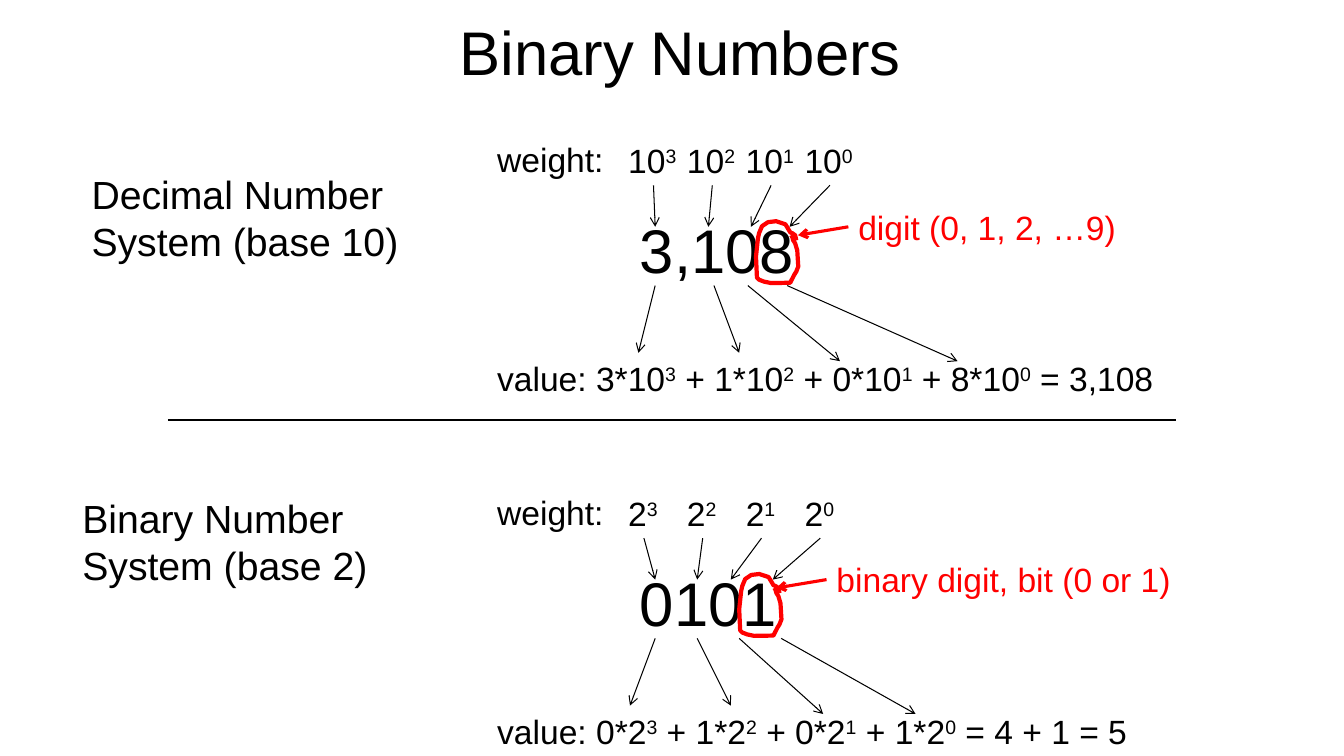
from lxml.etree import SubElement
from pptx import Presentation
from pptx.dml.color import RGBColor
from pptx.enum.shapes import MSO_CONNECTOR
from pptx.enum.text import MSO_ANCHOR, PP_ALIGN
from pptx.oxml.ns import qn
from pptx.util import Pt

COLORS = {"ink": "000000", "mark": "FF0000"}
DROP = 252  # distance between the two number systems
LOOP = [(28.8, 13.7), (28, 10), (26, 8.6), (24.5, 8), (22.3, 4.3), (21, 2.2),
        (14.4, 0), (8.6, 0.7), (4.3, 3.6), (2.2, 8.6), (1.4, 12.2), (0, 25.2),
        (0.7, 40.3), (2.2, 41.8), (5.8, 43.2), (10.8, 44.2), (24.5, 44),
        (25.2, 42.5), (27.4, 38.2), (28.8, 36), (30.2, 32.4), (29.5, 20.9),
        (28, 15.8), (26.6, 13.7), (26, 11.5), (25.2, 10)]

SYSTEMS = [
    {"name": "Decimal Number System (base 10)", "name_box": (58.3, 118, 289.5, 75),
     "base": "10", "base_width": 50.4, "digits": "3,108", "digits_width": 126,
     "tips": [468, 506, 536.4, 564],
     "tails": [468, 510, 534.2, 562.3], "heads": [456, 528, 600, 684],
     "value": "value: 3*10^3^ + 1*10^2^ + 0*10^1^ + 8*10^0^ = 3,108", "value_width": 493,
     "note": "digit (0, 1, 2, …9)", "note_left": 606, "note_width": 200, "loop": 540},
    {"name": "Binary Number System (base 2)", "name_box": (51.8, 349.2, 296, 75),
     "base": "2", "base_width": 36.7, "digits": "0101", "digits_width": 113,
     "tips": [468, 498, 522, 552],
     "tails": [468, 498, 528, 558], "heads": [450, 522, 588, 654],
     "value": "value: 0*2^3^ + 1*2^2^ + 0*2^1^ + 1*2^0^ = 4 + 1 = 5", "value_width": 474.5,
     "note": "binary digit, bit (0 or 1)", "note_left": 590.4, "note_width": 255.6, "loop": 528},
]


class Board:
    def __init__(self, slide):
        self.shapes = slide.shapes
        self.font = "Arial"

    def text(self, words, box, size=24, color="ink", wrap=False):
        """Add a text box; parts between carets are raised."""
        shape = self.shapes.add_textbox(*map(Pt, box))
        frame = shape.text_frame
        frame.word_wrap = wrap
        first, *rest = words.split("^")
        para = frame.paragraphs[0]
        para.text = first
        for part in rest:
            para.add_run().text = part
        for i, run in enumerate(para.runs):
            run.font.name = self.font
            run.font.size = Pt(size)
            run.font.color.rgb = RGBColor.from_string(COLORS[color])
            if i % 2:
                run._r.get_or_add_rPr().set("baseline", "30000")
        return shape

    def title(self, words, box):
        frame = self.text(words, box, 44, wrap=True).text_frame
        frame.vertical_anchor = MSO_ANCHOR.MIDDLE
        frame.paragraphs[0].alignment = PP_ALIGN.CENTER

    def stroke(self, line, color, width):
        line.color.rgb = RGBColor.from_string(COLORS[color])
        line.width = Pt(width)

    def line(self, start, end, color="ink", width=0.75, head=True, source=None, side=2):
        """Add a line, joined at its start to a side of source if given."""
        link = self.shapes.add_connector(MSO_CONNECTOR.STRAIGHT, *map(Pt, start + end))
        if source is not None:
            link.begin_connect(source, side)
        self.stroke(link.line, color, width)
        if head:
            SubElement(link.line._get_or_add_ln(), qn("a:tailEnd"), type="arrow")
        SubElement(link._element.spPr, qn("a:effectLst"))

    def loop(self, left, top):
        points = [(Pt(left + x), Pt(top + y)) for x, y in LOOP]
        pen = self.shapes.build_freeform(*points[0])
        pen.add_line_segments(points[1:], close=False)
        shape = pen.convert_to_shape()
        shape.fill.background()
        shape.shadow.inherit = False
        self.stroke(shape.line, "mark", 3)
        SubElement(shape.line._get_or_add_ln(), qn("a:round"))

    def system(self, data, top):
        """Draw one number system: weights, digits, values and digit note."""
        self.text(data["name"], data["name_box"], 28, wrap=True)
        self.text(data["digits"], (450, top + 148, data["digits_width"], 60.5), 44)
        self.text("weight:", (348, top + 96, 92, 36))
        width = data["base_width"]
        for i, tip in enumerate(data["tips"]):
            left = 441.6 + 42 * i
            weight = self.text(f"{data['base']}^{3 - i}", (left, top + 96.4, width, 36))
            self.line((left + width / 2, top + 132.4), (tip, top + 162), source=weight)
        self.text(data["value"], (348, top + 252, data["value_width"], 36))
        for i, (tail, head) in enumerate(zip(data["tails"], data["heads"])):
            self.line((tail, top + 204), (head, top + (252 if i < 2 else 258)))
        left = data["note_left"]
        note = self.text(data["note"], (left, top + 144, data["note_width"], 36), color="mark")
        self.loop(data["loop"], top + 158)
        self.line((left, top + 162), (left - 36, top + 168), "mark", 2.25, source=note, side=1)


def main():
    deck = Presentation()
    deck.slide_width, deck.slide_height = Pt(960), Pt(540)
    board = Board(deck.slides.add_slide(deck.slide_layouts[6]))
    board.title("Binary Numbers", (180, 0, 612, 72))
    for i, data in enumerate(SYSTEMS):
        board.system(data, DROP * i)
    board.line((120, 300), (840, 300), head=False)
    deck.save("out.pptx")


if __name__ == "__main__":
    main()
